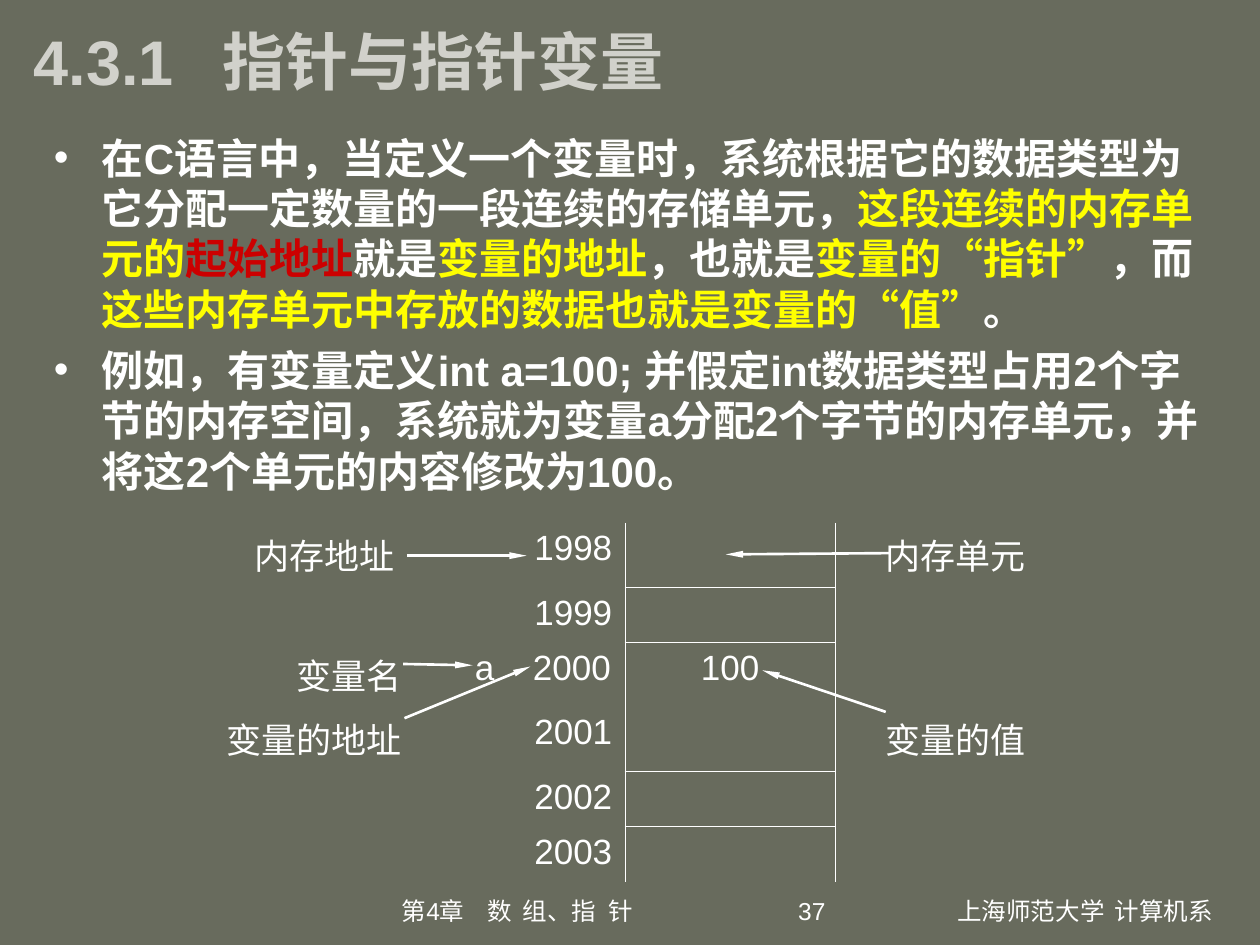
from lxml import etree
from pptx import Presentation
from pptx.dml.color import RGBColor
from pptx.enum.shapes import MSO_CONNECTOR
from pptx.enum.text import MSO_ANCHOR, PP_ALIGN
from pptx.oxml.ns import qn
from pptx.util import Inches, Pt

COLORS = {"bg": "686B5D", "title": "D1D1CB", "text": "FFFFFF",
          "key": "FFFF00", "alert": "CC0000"}
FONT = "Arial"
LEFT, CENTER, RIGHT = PP_ALIGN.LEFT, PP_ALIGN.CENTER, PP_ALIGN.RIGHT


def write(p, *parts, size=20, bold=False, color="text", align=LEFT, tabs=(),
          bullet=False, before=0):
    """Fill a paragraph; a part is text or a (text, color name) pair."""
    p.alignment, p.space_before = align, Pt(before)
    pPr = p._p.get_or_add_pPr()
    if bullet:
        pPr.set("marL", str(Inches(0.38)))
        pPr.set("indent", str(Inches(-0.38)))
        pPr.set("hangingPunct", "0")
        etree.SubElement(pPr, qn("a:buFont"), typeface=FONT)
        etree.SubElement(pPr, qn("a:buChar"), char="•")
    if tabs:
        tab_list = etree.SubElement(pPr, qn("a:tabLst"))
        for pos in tabs:
            etree.SubElement(tab_list, qn("a:tab"), pos=str(Inches(pos)), algn="l")
    for part in parts:
        text, name = (part, color) if isinstance(part, str) else part
        r = p.add_run()
        r.text = text
        r.font.name, r.font.size, r.font.bold = FONT, Pt(size), bold
        r.font.color.rgb = RGBColor.from_string(COLORS[name])


def add_box(x, y, w, h, anchor=MSO_ANCHOR.TOP):
    tf = s.shapes.add_textbox(Inches(x), Inches(y), Inches(w), Inches(h)).text_frame
    tf.word_wrap, tf.vertical_anchor = True, anchor
    return tf


prs = Presentation()
prs.slide_width, prs.slide_height = Inches(10), Inches(7.5)
s = prs.slides.add_slide(prs.slide_layouts[6])
s.background.fill.solid()
s.background.fill.fore_color.rgb = RGBColor.from_string(COLORS["bg"])

# Title and body
write(add_box(0.17, 0, 9, 0.95, MSO_ANCHOR.MIDDLE).paragraphs[0],
      "4.3.1\t指针与指针变量", size=36, bold=True, color="title", tabs=[1.5])

tf = add_box(0.33, 1, 9.42, 3.1)
body = dict(size=24, bold=True, bullet=True)
write(tf.paragraphs[0],
      "在C语言中，当定义一个变量时，系统根据它的数据类型为它分配一定数量的一段连续的存储单元，",
      ("这段连续的内存单元的", "key"), ("起始地址", "alert"), "就是",
      ("变量的地址", "key"), "，也就是", ("变量的“指针”", "key"), "，而",
      ("这些内存单元中存放的数据也就是变量的“值”", "key"), "。", **body)
write(tf.add_paragraph(),
      "例如，有变量定义int a=100; 并假定int数据类型占用2个字节的内存空间，"
      "系统就为变量a分配2个字节的内存单元，并将这2个单元的内容修改为100。",
      before=6, **body)

# Memory table: label, address, memory cell, label
ROWS = [("内存地址", "1998", "", "内存单元"),
        ("", "1999", "", ""),
        ("变量名", "\ta\t2000", "100", ""),
        ("变量的地址", "2001", "", "变量的值"),
        ("", "2002", "", ""),
        ("", "2003", "", "")]
INSET_LABELS = {"内存地址", "内存单元", "变量的值"}
MEMORY = 2
n_rows, n_cols = len(ROWS), len(ROWS[0])
table = s.shapes.add_table(n_rows, n_cols, Inches(1.62), Inches(4.15),
                           Inches(1.67 * n_cols), Inches(0.44 * n_rows)).table
table.first_row = table.horz_banding = False
for row, texts in zip(table.rows, ROWS):
    row.height = Inches(0.51 if texts[0] else 0.44)
table.cell(2, MEMORY).merge(table.cell(3, MEMORY))

for i, row in enumerate(ROWS):
    for j, text in enumerate(row):
        cell = table.cell(i, j)
        if text in INSET_LABELS:
            cell.margin_right = Inches(0.16)
        if text:
            tabbed = "\t" in text
            align = LEFT if tabbed else CENTER if j == MEMORY else RIGHT
            write(cell.text_frame.paragraphs[0], text, align=align,
                  tabs=[0.38, 0.84] if tabbed else ())
        visible = {"L": j >= MEMORY, "R": j in (MEMORY - 1, MEMORY),
                   "T": j == MEMORY and i not in (0, 3),
                   "B": j == MEMORY and i not in (2, n_rows - 1)}
        tcPr = cell._tc.get_or_add_tcPr()
        for side, shown in visible.items():
            ln = etree.SubElement(tcPr, qn("a:ln" + side), w=str(Pt(0.45)))
            if shown:
                fill = etree.SubElement(ln, qn("a:solidFill"))
                etree.SubElement(fill, qn("a:srgbClr"), val=COLORS["text"])
            else:
                etree.SubElement(ln, qn("a:noFill"))
        cell.fill.background()

# Arrows from each label to what it names
ARROWS = [(3.23, 4.41, 4.18, 4.41), (3.21, 5.7, 4.21, 5.29),
          (3.2, 5.27, 3.75, 5.28), (7.07, 4.39, 5.76, 4.4),
          (7.03, 5.65, 6.05, 5.32)]
for ends in ARROWS:
    arrow = s.shapes.add_connector(MSO_CONNECTOR.STRAIGHT, *map(Inches, ends))
    arrow.line.width = Pt(1.5)
    arrow.line.color.rgb = RGBColor.from_string(COLORS["text"])
    etree.SubElement(arrow.line._get_or_add_ln(), qn("a:tailEnd"), type="triangle",
                     w="sm", len="lg")
    etree.SubElement(arrow._element.spPr, qn("a:effectLst"))

# Footer
for text, x, w, align, tabs in [
        ("第4章\t数\t组、指\t针", 3.09, 2.37, LEFT, [0.68, 0.96, 1.64]),
        ("37", 5.57, 1.08, RIGHT, []),
        ("上海师范大学\t计算机系", 7.5, 2.33, LEFT, [1.25])]:
    write(add_box(x, 7.06, w, 0.35).paragraphs[0], text, size=14, align=align,
          tabs=tabs)

prs.save("out.pptx")
